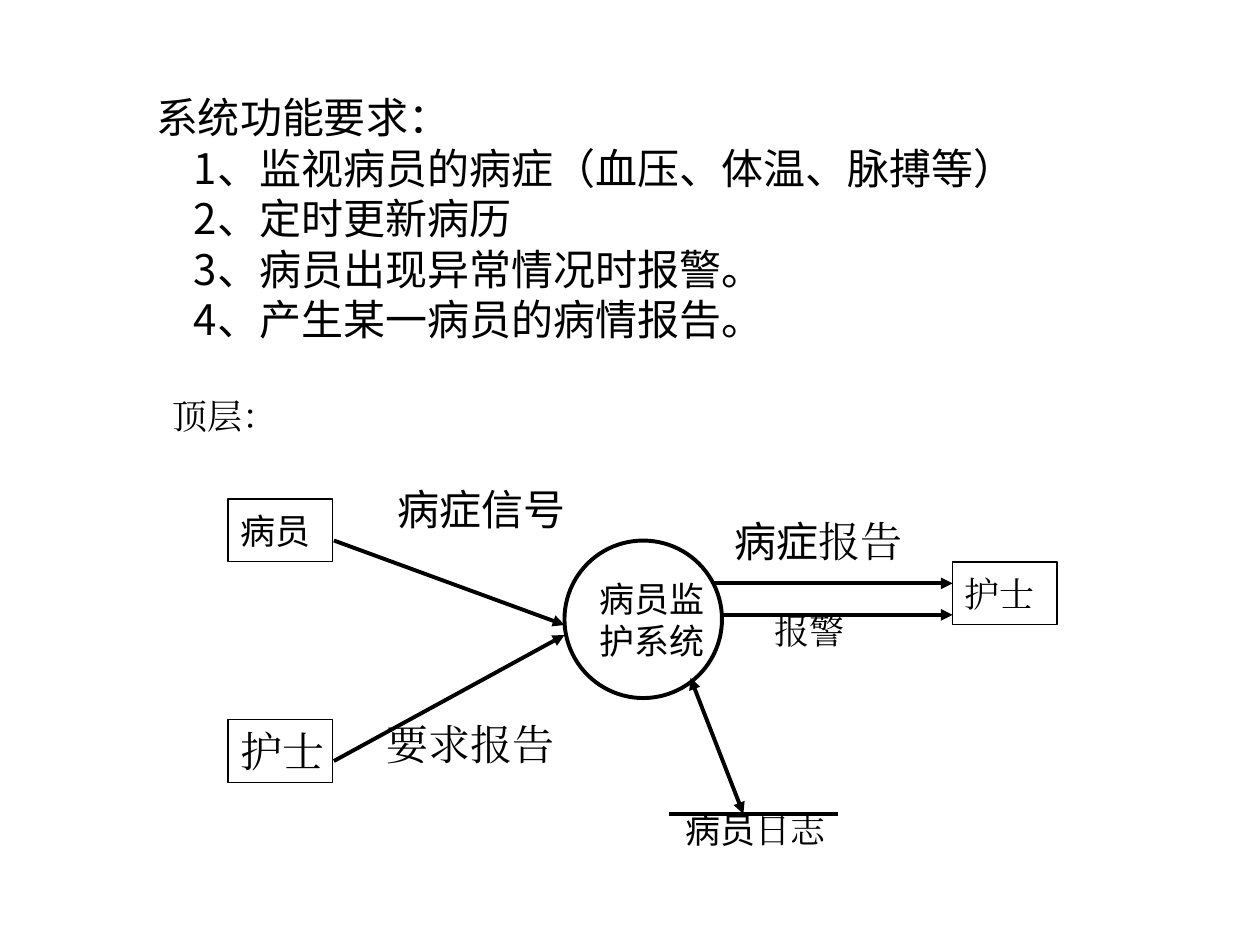
import pptx
import pptx.util
import pptx.dml.color
import pptx.enum.shapes
import pptx.enum.text
import pptx.oxml.ns
from dataclasses import dataclass
from lxml import etree
from pptx.util import Inches


@dataclass(frozen=True)
class Theme:
    """Colours, fonts, type sizes and line widths of the slide."""
    ink: pptx.dml.color.RGBColor = pptx.dml.color.RGBColor(0, 0, 0)
    sans: str = "Noto Sans CJK SC"
    serif: str = "Times New Roman"
    large: int = 24
    small: int = 20
    thin: float = 0.74
    thick: float = 2.24


THEME = Theme()
SHAPE = pptx.enum.shapes.MSO_SHAPE


def add_xml(parent, tag, **attrs):
    """Append a DrawingML element to parent."""
    return etree.SubElement(parent, pptx.oxml.ns.qn(tag), attrs)


def style_line(line, width):
    """Give a line the ink colour and a width in points."""
    line.color.rgb = THEME.ink
    line.width = pptx.util.Pt(width)


def write(s, paragraphs, size, wrap):
    """Fill a shape with paragraphs, each a list of (text, font) runs."""
    tf = s.text_frame
    tf.word_wrap = wrap
    for i, runs in enumerate(paragraphs):
        p = tf.paragraphs[0] if i == 0 else tf.add_paragraph()
        p.alignment = pptx.enum.text.PP_ALIGN.LEFT
        for text, font in runs:
            r = p.add_run()
            r.text = text
            r.font.size = pptx.util.Pt(size)
            r.font.name = font
            r.font.color.rgb = THEME.ink
            add_xml(r.font._element, "a:ea", typeface=font)
    return tf


def add_label(slide, box, paragraphs, size, wrap=True, before=0):
    """Add a text box."""
    s = slide.shapes.add_textbox(*map(Inches, box))
    tf = write(s, paragraphs, size, wrap)
    if before:
        tf.paragraphs[0].space_before = pptx.util.Pt(before)
    return tf


def add_node(slide, kind, box, paragraphs, size, width):
    """Add an unfilled outlined shape with text in its middle."""
    s = slide.shapes.add_shape(kind, *map(Inches, box))
    s.shadow.inherit = False
    s.fill.background()
    style_line(s.line, width)
    tf = write(s, paragraphs, size, False)
    tf.vertical_anchor = pptx.enum.text.MSO_ANCHOR.MIDDLE


def add_flow(slide, start, end, arrows=("tailEnd",)):
    """Add a straight line with arrowheads at the named ends."""
    s = slide.shapes.add_connector(
        pptx.enum.shapes.MSO_CONNECTOR.STRAIGHT, *map(Inches, start + end))
    style_line(s.line, THEME.thick)
    for arrow in arrows:
        add_xml(s.line._get_or_add_ln(), "a:" + arrow, type="triangle")
    add_xml(s._element.spPr, "a:effectLst")


def add_requirements(slide):
    """Add the heading and the numbered requirements."""
    lines = ["系统功能要求：", "1、监视病员的病症（血压、体温、脉搏等）",
             "2、定时更新病历", "3、病员出现异常情况时报警。",
             "4、产生某一病员的病情报告。"]
    tf = add_label(slide, (1.14, 0.68, 8.17, 2.1),
                   [[(line, THEME.sans)] for line in lines], THEME.large)
    for p in tf.paragraphs[1:]:
        p._p.get_or_add_pPr().set("marL", str(Inches(0.3)))


def add_diagram(slide):
    """Add the top-level data flow diagram."""
    t = THEME
    for x, y, text, font, size in [
            (1.81, 3.96, "病员", t.sans, t.small),
            (7.56, 4.46, "护士", t.serif, t.small),
            (1.81, 5.71, "护士", t.serif, t.large)]:
        add_node(slide, SHAPE.RECTANGLE, (x, y, 0.83, 0.5),
                 [[(text, font)]], size, t.thin)
    add_node(slide, SHAPE.OVAL, (4.48, 4.29, 1.25, 1.25),
             [[("病员监", t.sans)], [("护系统", t.sans)]], t.small, t.thick)

    add_flow(slide, (2.65, 4.29), (4.48, 4.96))
    add_flow(slide, (2.65, 6.04), (4.48, 5.04))
    add_flow(slide, (5.65, 4.63), (7.56, 4.63))
    add_flow(slide, (5.73, 4.88), (7.56, 4.88))
    add_flow(slide, (5.31, 6.46), (6.65, 6.46), ())
    add_flow(slide, (5.48, 5.38), (5.9, 6.46), ("headEnd", "tailEnd"))

    add_label(slide, (1.27, 3.08, 1.02, 0.44), [[("顶层：", t.serif)]], t.small)
    add_label(slide, (5.34, 6.37, 1.39, 0.44),
              [[("病员", t.sans), ("日志", t.serif)]], t.small, before=12.5)
    add_label(slide, (3.06, 3.79, 1.86, 0.5),
              [[("病症信号", t.sans)]], t.large, before=15)
    add_label(slide, (2.97, 5.65, 1.53, 0.5),
              [[("要求报告", t.serif)]], t.large, wrap=False)
    add_label(slide, (5.73, 4.04, 1.53, 0.5),
              [[("病症", t.sans), ("报告", t.serif)]], t.large, wrap=False)
    add_label(slide, (6.05, 4.79, 0.76, 0.44), [[("报警", t.serif)]], t.small)


def main():
    """Build and save the slide."""
    prs = pptx.Presentation()
    prs.slide_width, prs.slide_height = Inches(10), Inches(7.5)
    slide = prs.slides.add_slide(prs.slide_layouts[6])
    add_requirements(slide)
    add_diagram(slide)
    prs.save("out.pptx")


main()
